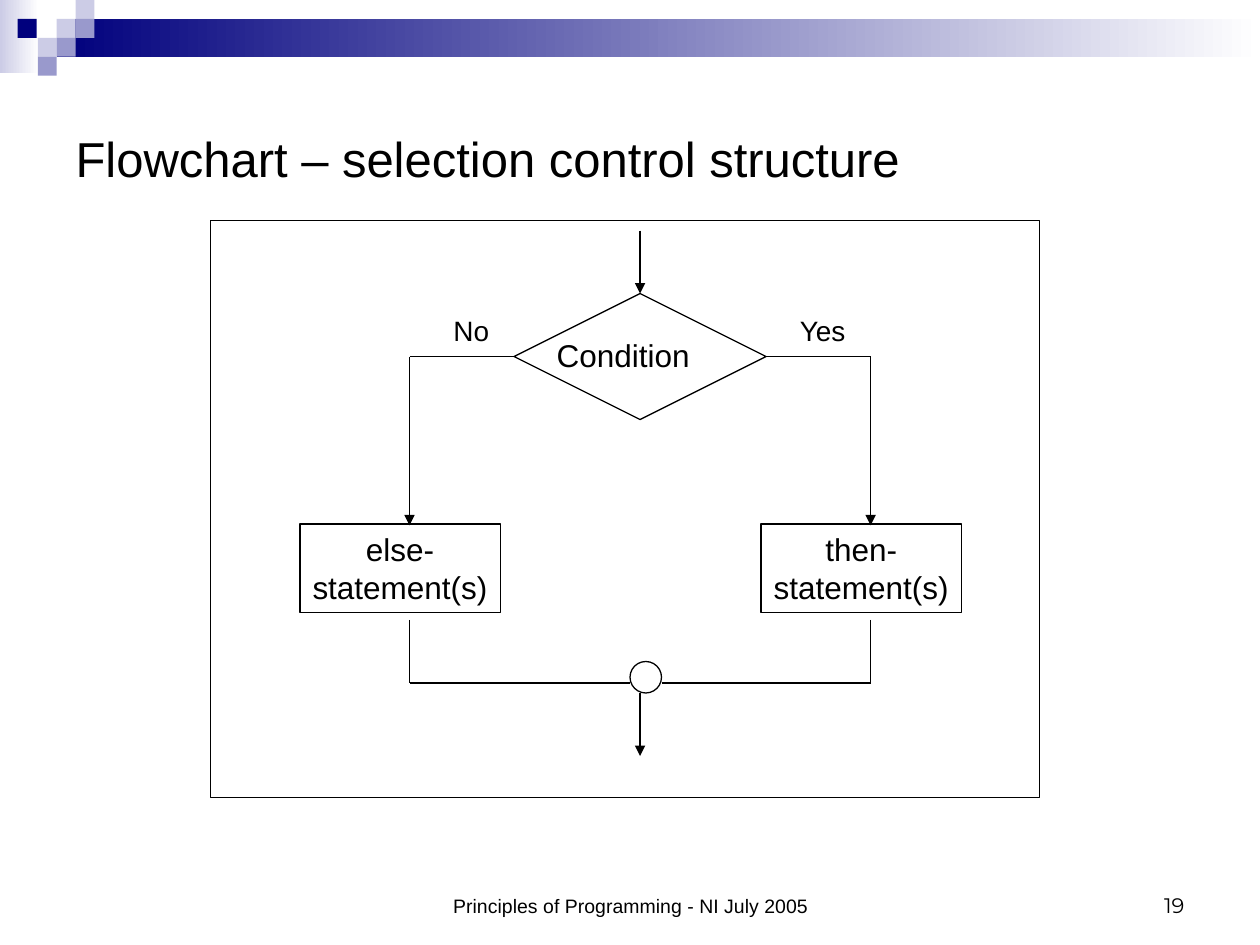
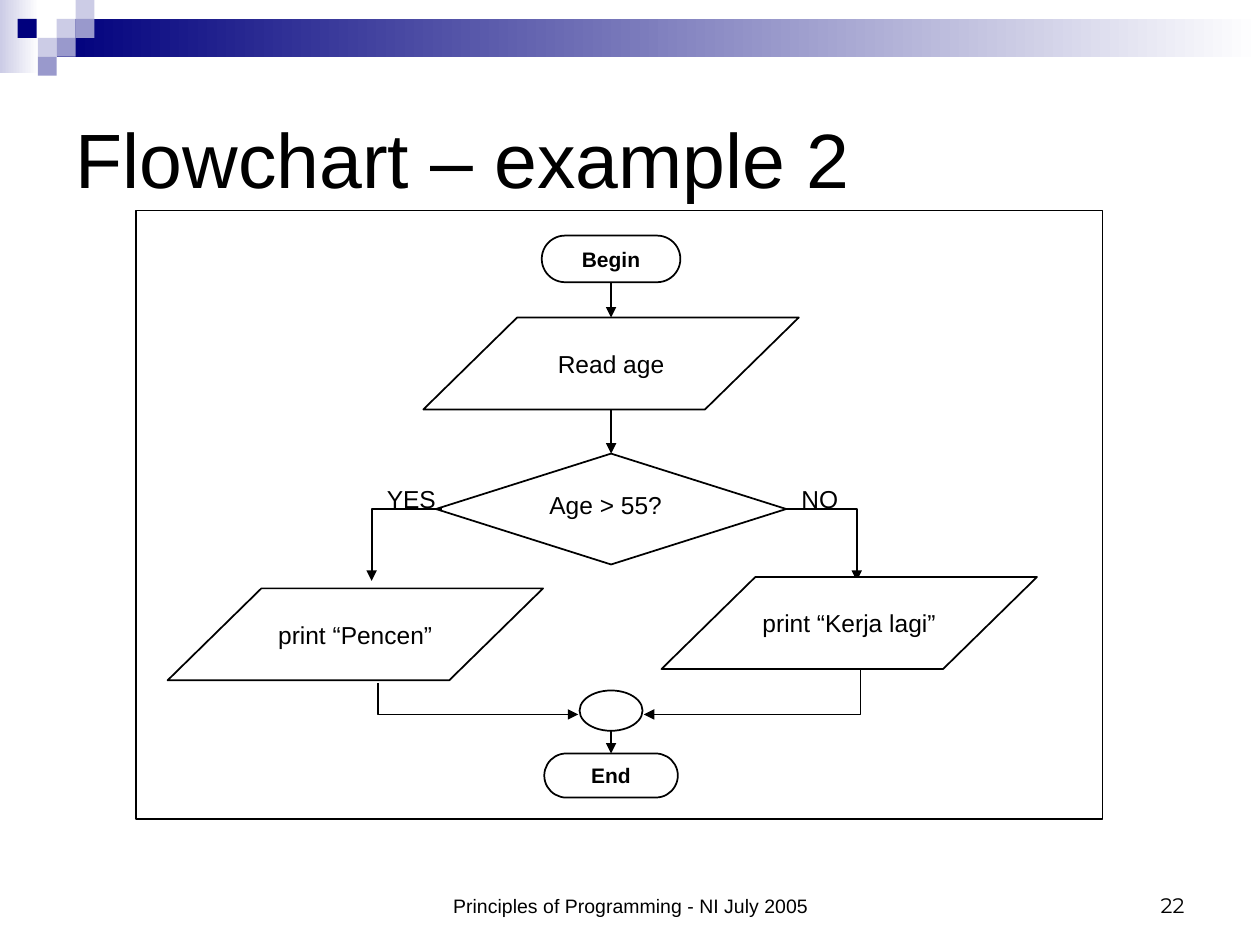
from lxml.etree import SubElement
from pptx import Presentation
from pptx.dml.color import RGBColor
from pptx.enum.shapes import MSO_CONNECTOR as Link, MSO_SHAPE as Kind
from pptx.enum.text import MSO_ANCHOR as Anchor, MSO_AUTO_SIZE as Fit, PP_ALIGN as Align
from pptx.oxml.ns import qn
from pptx.util import Inches, Pt

BLACK, WHITE = "000000", "FFFFFF"
NAVY, MID, PALE = "00007D", "9999CC", "CCCCE6"
TOP, LEFT, BOTTOM, RIGHT = range(4)
TILES = [(0.45, 0.15, PALE), (0.6, 0, PALE), (0.6, 0.15, MID), (0.3, 0.3, PALE),
         (0.14, 0.15, NAVY), (0.45, 0.3, MID), (0.3, 0.45, MID)]


def rgb(code):
    return RGBColor.from_string(code)


def write(shape, text, size=18, font="Arial", bold=False, align=Align.LEFT,
          anchor=Anchor.TOP, wrap=False, pad=(0.1, 0.05)):
    """Fill a shape with text, one paragraph for each line."""
    frame = shape.text_frame
    frame.auto_size = Fit.NONE
    frame.word_wrap = wrap
    frame.vertical_anchor = anchor
    frame.margin_left = frame.margin_right = Inches(pad[0])
    frame.margin_top = frame.margin_bottom = Inches(pad[1])
    frame.text = text
    for para in frame.paragraphs:
        para.alignment = align
        para.font.size = Pt(size)
        para.font.name = font
        para.font.bold = bold
        para.font.color.rgb = rgb(BLACK)


class Panel:
    """A region of a slide; all places are inches from its top left corner."""

    def __init__(self, slide, x=0, y=0, weight=0.75):
        self.shapes = slide.shapes
        self.x, self.y, self.weight = x, y, weight

    def spot(self, x, y):
        return Inches(self.x + x), Inches(self.y + y)

    def stroke(self, shape, arrow=False):
        shape.line.color.rgb = rgb(BLACK)
        shape.line.width = Pt(self.weight)
        if arrow:
            ln = shape.element.spPr.find(qn("a:ln"))
            SubElement(ln, qn("a:tailEnd"), type="triangle")

    def box(self, kind, x, y, w, h, fill=None, line=True, text="", **style):
        shape = self.shapes.add_shape(kind, *self.spot(x, y), Inches(w), Inches(h))
        shape.shadow.inherit = False
        if fill:
            shape.fill.solid()
            shape.fill.fore_color.rgb = rgb(fill)
        else:
            shape.fill.background()
        if line:
            self.stroke(shape)
        else:
            shape.line.fill.background()
        if text:
            write(shape, text, align=Align.CENTER, anchor=Anchor.MIDDLE, **style)
        return shape

    def fade(self, x, y, w, h, start):
        """Draw a band that fades to white on the right."""
        band = self.box(Kind.RECTANGLE, x, y, w, h, line=False)
        band.fill.gradient()
        band.fill.gradient_angle = 0
        for stop, code, place in zip(band.fill.gradient_stops, (start, WHITE), (0, 1)):
            stop.color.rgb = rgb(code)
            stop.position = place

    def label(self, text, x, y, w, h, **style):
        write(self.shapes.add_textbox(*self.spot(x, y), Inches(w), Inches(h)), text, **style)

    def line(self, start, end, arrow=False, tie=None, into=None):
        """Join two points; tie and into are (shape, side) pairs to attach to."""
        link = self.shapes.add_connector(Link.STRAIGHT, *self.spot(*start), *self.spot(*end))
        if tie:
            link.begin_connect(*tie)
        if into:
            link.end_connect(*into)
        self.stroke(link, arrow)
        SubElement(link.element.spPr, qn("a:effectLst"))

    def bend(self, *points):
        """Draw an arrow through the points."""
        first, *rest = [self.spot(*point) for point in points]
        pen = self.shapes.build_freeform(*first)
        pen.add_line_segments(rest, close=False)
        shape = pen.convert_to_shape()
        shape.shadow.inherit = False
        shape.fill.background()
        self.stroke(shape, arrow=True)


def add_page(deck, title, size, number):
    """Add a slide with its bands, title and footer."""
    slide = deck.slides.add_slide(deck.slide_layouts[5])
    page = Panel(slide)
    page.fade(0, 0, 0.31, 0.58, PALE)
    page.fade(0.45, 0.15, 9.55, 0.3, NAVY)
    for x, y, code in TILES:
        page.box(Kind.RECTANGLE, x, y, 0.15, 0.15, fill=code, line=False)
    head = slide.shapes.title
    head.left, head.top, head.width, head.height = map(Inches, (0.5, 0.5, 9, 1.5))
    write(head, title, size=size, anchor=Anchor.MIDDLE, wrap=True)
    page.label("Principles of Programming - NI July 2005", 3.42, 6.83, 3.17, 0.5,
               size=11.1, align=Align.CENTER, anchor=Anchor.BOTTOM, wrap=True)
    page.label(number, 7.17, 6.83, 2.33, 0.5, size=12, font="Montserrat",
               align=Align.RIGHT, anchor=Anchor.BOTTOM, wrap=True)
    return slide


def draw_choice(slide, x, y):
    """Draw the general if-else flowchart."""
    area = Panel(slide, x, y)
    mid, fork, join = 3.41, 1.08, 3.67
    area.box(Kind.RECTANGLE, 0, 0, 6.58, 4.58)
    test = area.box(Kind.FLOWCHART_DECISION, mid - 1, fork - 0.5, 2, 1)
    area.label("Condition", 2.65, 0.87, 1.25, 0.4)
    area.line((mid, 0.08), (mid, fork - 0.5), arrow=True, into=(test, TOP))
    branches = [(-1, LEFT, "else-", "No", 1.83, 3.33), (1, RIGHT, "then-", "Yes", 4.58, 3.58)]
    for sign, side, word, answer, left, rim in branches:
        arm = mid + sign * 1.83
        area.box(Kind.RECTANGLE, arm - 0.87, 2.41, 1.59, 0.7, text=word + "\nstatement(s)")
        area.line((mid + sign, fork), (arm, fork), tie=(test, side))
        area.line((arm, fork), (arm, 2.42), arrow=True)
        area.line((arm, 3.17), (arm, join))
        area.line((arm, join), (rim, join))
        area.label(answer, left, 0.69, 0.58, 0.37, size=16)
    area.box(Kind.FLOWCHART_CONNECTOR, 3.33, 3.5, 0.25, 0.25)
    area.line((mid, 3.75), (mid, 4.25), arrow=True)


def draw_age(slide, x, y):
    """Draw the flowchart that tests an age."""
    area = Panel(slide, x, y, weight=1)
    mid, fork, join = 3.77, 2.37, 4

    def pill(text, y, w, h):
        shape = area.box(Kind.ROUNDED_RECTANGLE, mid - w / 2, y, w, h, fill=WHITE,
                         text=text, size=12, bold=True)
        shape.adjustments[0] = 0.5
        return shape

    def slant(text, x, y):
        shape = area.box(Kind.PARALLELOGRAM, x, y, 2.98, 0.73, fill=WHITE,
                         text=text, size=14, pad=(0.16, 0.08))
        shape.adjustments[0] = 1.02

    area.box(Kind.RECTANGLE, 0, 0, 7.67, 4.83)
    area.bend((5.15, fork), (5.72, fork), (5.72, 2.94))
    area.bend((2.43, fork), (1.87, fork), (1.87, 2.94))
    area.bend((1.92, 3.75), (1.92, join), (3.51, join))
    area.bend((5.75, 3.58), (5.75, join), (4.03, join))
    begin = pill("Begin", 0.2, 1.1, 0.37)
    end = pill("End", 4.31, 1.06, 0.35)
    test = area.box(Kind.FLOWCHART_DECISION, mid - 1.39, fork - 0.44, 2.78, 0.88)
    slant("Read age", mid - 1.49, 0.85)
    slant("print “Pencen”", 0.25, 3)
    slant("print “Kerja lagi”", 4.17, 2.91)
    area.box(Kind.OVAL, mid - 0.25, 3.81, 0.5, 0.32, fill=WHITE)
    area.line((mid, 0.57), (mid, 0.85), arrow=True, tie=(begin, BOTTOM))
    area.line((mid, 1.58), (mid, 1.93), arrow=True, into=(test, TOP))
    area.line((mid, 4.13), (mid, 4.31), arrow=True, into=(end, TOP))
    for text, left, top, w in [("Age > 55?", 3.17, 2.16, 1.12),
                               ("YES", 1.88, 2.11, 0.61), ("NO", 5.17, 2.11, 0.52)]:
        area.label(text, left, top, w, 0.34, size=14, pad=(0.11, 0.06))


def main():
    deck = Presentation()
    deck.slide_width, deck.slide_height = Inches(10), Inches(7.5)
    draw_choice(add_page(deck, "Flowchart – selection control structure", 28, "19"), 1.67, 1.75)
    draw_age(add_page(deck, "Flowchart – example 2", 44, "22"), 1.08, 1.67)
    deck.save("out.pptx")


if __name__ == "__main__":
    main()
